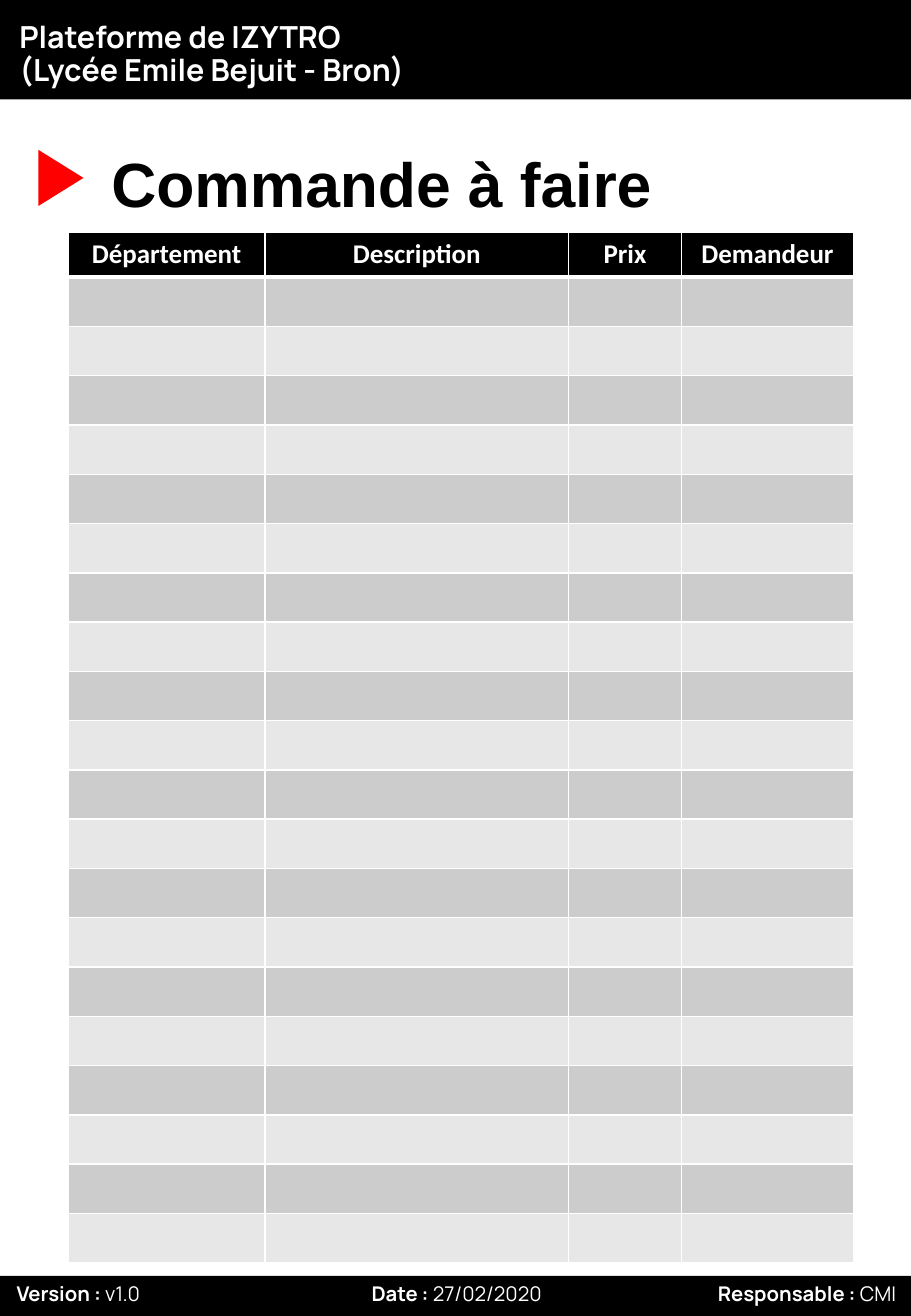
"""Build the one-page order form with its header, title, table and footer."""
from lxml import etree
from pptx import Presentation
from pptx.dml.color import RGBColor
from pptx.enum.shapes import MSO_SHAPE
from pptx.enum.text import MSO_ANCHOR, PP_ALIGN
from pptx.oxml.ns import qn
from pptx.util import Cm, Pt

RECTANGLE, TRIANGLE = MSO_SHAPE.RECTANGLE, MSO_SHAPE.ISOSCELES_TRIANGLE
LEFT, CENTER = PP_ALIGN.LEFT, PP_ALIGN.CENTER
TOP, MIDDLE, BOTTOM = MSO_ANCHOR.TOP, MSO_ANCHOR.MIDDLE, MSO_ANCHOR.BOTTOM

BLACK, WHITE, RED = "000000", "FFFFFF", "FF0000"
BANDS = ["CCCCCC", "E7E7E7"]

PAGE_WIDTH, PAGE_HEIGHT = 19.05, 27.51
HEADER_HEIGHT, FOOTER_TOP = 2.08, 26.67
HEADER = "Plateforme de IZYTRO \v(Lycée Emile Bejuit - Bron)"
HEADING = "Commande à faire"
COLUMNS = [("Département", 4.11), ("Description", 6.35), ("Prix", 2.36), ("Demandeur", 3.6)]
EMPTY_ROWS = 20
HEAD_ROW_HEIGHT, ROW_HEIGHT = 0.91, 1.03
TABLE_LEFT, TABLE_TOP = 1.43, 4.85
FOOTER = [
    ("Version : ", "v1.0", 0.1),
    ("Date : ", "27/02/2020", 7.52),
    ("Responsable : ", "CMI", 14.76),
]


def color(hex_string):
    return RGBColor.from_string(hex_string)


def write_text(frame, bold_text, plain_text="", *, size, font, fill=WHITE,
               align=LEFT, anchor=TOP, spacing=1.0, wrap=True):
    frame.word_wrap = wrap
    frame.vertical_anchor = anchor
    paragraph = frame.paragraphs[0]
    paragraph.alignment = align
    paragraph.line_spacing = spacing
    for text, bold in ((bold_text, True), (plain_text, False)):
        for index, line in enumerate(text.split("\v") if text else []):
            if index:
                paragraph.add_line_break()
            run = paragraph.add_run()
            run.text = line
            run.font.size = Pt(size)
            run.font.name = font
            run.font.bold = bold
            run.font.color.rgb = color(fill)


def add_box(slide, kind, left, top, width, height, fill):
    shape = slide.shapes.add_shape(kind, Cm(left), Cm(top), Cm(width), Cm(height))
    shape.shadow.inherit = False
    shape.fill.solid()
    shape.fill.fore_color.rgb = color(fill)
    shape.line.fill.background()
    return shape


def add_text_box(slide, left, top, width, height):
    return slide.shapes.add_textbox(Cm(left), Cm(top), Cm(width), Cm(height)).text_frame


def format_cell(cell, fill, top_width, bottom_width):
    properties = cell._tc.get_or_add_tcPr()
    for side, width in (("L", 1), ("R", 1), ("T", top_width), ("B", bottom_width)):
        line = etree.SubElement(properties, qn(f"a:ln{side}"), w=str(Pt(width)))
        solid = etree.SubElement(line, qn("a:solidFill"))
        etree.SubElement(solid, qn("a:srgbClr"), val=WHITE)
    cell.fill.solid()
    cell.fill.fore_color.rgb = color(fill)


def add_order_table(slide):
    width = sum(column_width for _, column_width in COLUMNS)
    height = HEAD_ROW_HEIGHT + EMPTY_ROWS * ROW_HEIGHT
    table = slide.shapes.add_table(EMPTY_ROWS + 1, len(COLUMNS), Cm(TABLE_LEFT),
                                   Cm(TABLE_TOP), Cm(width), Cm(height)).table
    for column, (label, column_width) in enumerate(COLUMNS):
        table.columns[column].width = Cm(column_width)
        write_text(table.cell(0, column).text_frame, label, size=16,
                   font="Calibri", align=CENTER)
    for index, row in enumerate(table.rows):
        row.height = Cm(ROW_HEIGHT if index else HEAD_ROW_HEIGHT)
        fill = BANDS[(index - 1) % len(BANDS)] if index else BLACK
        for cell in row.cells:
            format_cell(cell, fill, 3 if index == 1 else 1, 1 if index else 3)


def main():
    presentation = Presentation()
    presentation.slide_width, presentation.slide_height = Cm(PAGE_WIDTH), Cm(PAGE_HEIGHT)
    slide = presentation.slides.add_slide(presentation.slide_layouts[5])

    add_box(slide, RECTANGLE, 0, 0, PAGE_WIDTH, HEADER_HEIGHT, BLACK)
    add_box(slide, RECTANGLE, 0, FOOTER_TOP, PAGE_WIDTH, PAGE_HEIGHT - FOOTER_TOP, BLACK)

    title = slide.shapes.title
    title.left, title.top, title.width, title.height = Cm(0.15), Cm(0.23), Cm(10.64), Cm(1.83)
    write_text(title.text_frame, HEADER, size=18, font="Manrope", anchor=MIDDLE, spacing=0.9)
    slide.shapes._spTree.append(title._element)

    add_order_table(slide)
    write_text(add_text_box(slide, 2.08, 3.15, 13.31, 1.57), HEADING, size=37,
               font="Arial", fill=BLACK, anchor=BOTTOM, spacing=0.8)
    add_box(slide, TRIANGLE, 0.69, 3.25, 1.17, 0.94, RED).rotation = 90

    for label, value, left in FOOTER:
        write_text(add_text_box(slide, left, FOOTER_TOP, 4.27, 0.76), label, value,
                   size=12, font="Manrope", wrap=False)

    presentation.save("out.pptx")


if __name__ == "__main__":
    main()
